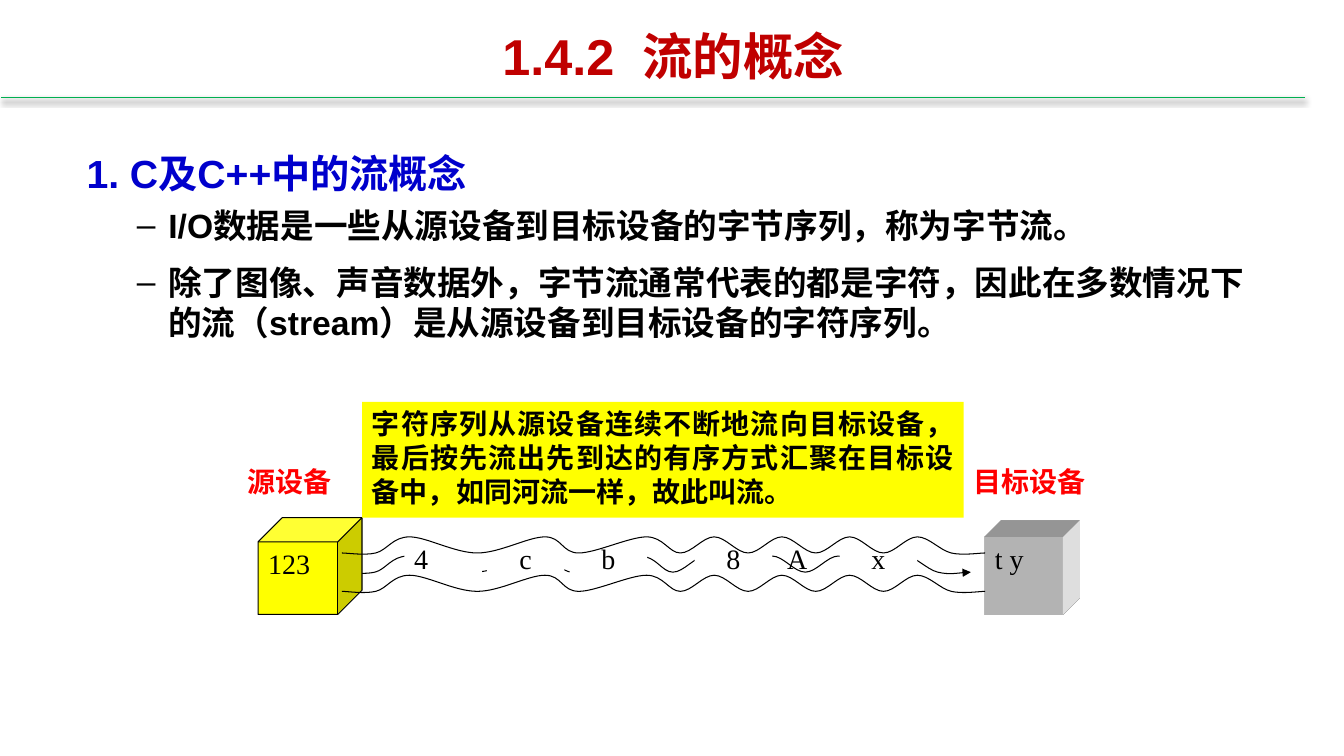
from lxml import etree
from pptx import Presentation
from pptx.dml.color import RGBColor
from pptx.enum.shapes import MSO_CONNECTOR, MSO_SHAPE
from pptx.enum.text import MSO_ANCHOR, PP_ALIGN
from pptx.oxml import parse_xml
from pptx.oxml.ns import nsdecls, qn
from pptx.util import Pt

RECT, CUBE = MSO_SHAPE.RECTANGLE, MSO_SHAPE.CUBE
STRAIGHT = MSO_CONNECTOR.STRAIGHT
TOP, MIDDLE = MSO_ANCHOR.TOP, MSO_ANCHOR.MIDDLE
LEFT, CENTER, JUSTIFY = PP_ALIGN.LEFT, PP_ALIGN.CENTER, PP_ALIGN.JUSTIFY

BLACK = RGBColor(0x00, 0x00, 0x00)
WHITE = RGBColor(0xFF, 0xFF, 0xFF)
RED = RGBColor(0xFF, 0x00, 0x00)
DARK_RED = RGBColor(0xC0, 0x00, 0x00)
BLUE = RGBColor(0x00, 0x00, 0xCC)
GREEN = RGBColor(0x00, 0xB0, 0x50)
YELLOW = RGBColor(0xFF, 0xFF, 0x00)

SANS, SERIF, CJK = "Arial", "Times New Roman", "Noto Sans CJK SC"

WAVE_UNITS = [0, 1, 2, 4, 6, 7, 9, 10, 11, 12, 13, 14, 15, 16, 17, 18, 19]
WAVE_LEVELS = [1, 1] + [0, 1] * 7 + [1]
WAVE_HEIGHT = 11.5


def format_runs(p, size, color, bold=False, font=SANS):
    """Format every run of a paragraph."""
    for r in p.runs:
        r.font.size, r.font.bold, r.font.name = Pt(size), bold, font
        r.font.color.rgb = color
        ea = etree.SubElement(r._r.get_or_add_rPr(), qn("a:ea"))
        ea.set("typeface", CJK)


def add_title(slide, box, text):
    """Place the title and the shadowed rule under it."""
    x, y, w, h = box
    title = slide.shapes.title
    title.left, title.top, title.width, title.height = map(Pt, box)
    tf = title.text_frame
    tf.text = text
    tf.vertical_anchor = MIDDLE
    tf.paragraphs[0].alignment = CENTER
    format_runs(tf.paragraphs[0], 36, DARK_RED, True)

    rule_y = Pt(y + 69.1)
    rule = slide.shapes.add_connector(STRAIGHT, Pt(x - 184.3), rule_y, Pt(x + 747.4), rule_y)
    rule.line.color.rgb, rule.line.width = GREEN, Pt(1.25)
    rule._element.spPr.append(parse_xml(
        f'<a:effectLst {nsdecls("a")}><a:outerShdw blurRad="{Pt(4)}" dist="{Pt(2.5)}" '
        'dir="5400000" rotWithShape="0"><a:srgbClr val="000000"><a:alpha val="47000"/>'
        '</a:srgbClr></a:outerShdw></a:effectLst>'))


def add_body(slide, box, heading, points):
    """Place the heading and its dashed points."""
    tf = slide.shapes.add_textbox(*map(Pt, box)).text_frame
    tf.word_wrap = True
    p = tf.paragraphs[0]
    p.text = heading
    p.line_spacing = Pt(33.5)
    format_runs(p, 28, BLUE, True)
    for point in points:
        p = tf.add_paragraph()
        p.text, p.level = point, 1
        p.space_before = p.space_after = Pt(6)
        p.line_spacing = Pt(28.8)
        format_runs(p, 24, BLACK, True)
        pPr = p._p.get_or_add_pPr()
        pPr.set("marL", str(Pt(58.5)))
        pPr.set("indent", str(Pt(-22.5)))
        etree.SubElement(pPr, qn("a:buFont")).set("typeface", SANS)
        etree.SubElement(pPr, qn("a:buChar")).set("char", "–")


def add_block(slide, box, text, fill=WHITE, color=BLACK, bold=False, align=LEFT, kind=RECT):
    """Place a filled shape with 20 point text at its top."""
    s = slide.shapes.add_shape(kind, *map(Pt, box))
    s.shadow.inherit = False
    s.fill.solid()
    s.fill.fore_color.rgb = fill
    s.line.fill.background()
    tf = s.text_frame
    tf.text, tf.word_wrap, tf.vertical_anchor = text, True, TOP
    tf.paragraphs[0].alignment = align
    format_runs(tf.paragraphs[0], 20, color, bold, SERIF)
    return s


def add_wave(slide, x, y, w, arrow=False):
    """Draw one flow line as a smooth curve through its crests and troughs."""
    unit = w / WAVE_UNITS[-1]
    knots = [(unit * u, WAVE_HEIGHT * v) for u, v in zip(WAVE_UNITS, WAVE_LEVELS)]
    (x0, y0), *rest = [(Pt(x + kx), Pt(y + ky)) for kx, ky in knots]
    builder = slide.shapes.build_freeform(x0, y0, scale=1.0)
    builder.add_line_segments(rest, close=False)
    s = builder.convert_to_shape()
    s.shadow.inherit = False
    s.fill.background()
    s.line.color.rgb, s.line.width = BLACK, Pt(0.75)
    if arrow:
        etree.SubElement(s.line._get_or_add_ln(), qn("a:tailEnd")).set("type", "triangle")

    padded = [knots[0], *knots, knots[-1]]
    lines = list(s._element.iter(qn("a:lnTo")))
    for line, before, start, end, after in zip(lines, padded, padded[1:], padded[2:], padded[3:]):
        c1 = [b + (e - a) / 6 for a, b, e in zip(before, start, end)]
        c2 = [e - (f - b) / 6 for b, e, f in zip(start, end, after)]
        curve = etree.Element(qn("a:cubicBezTo"))
        for px, py in (c1, c2, end):
            pt = etree.SubElement(curve, qn("a:pt"))
            pt.set("x", str(Pt(px)))
            pt.set("y", str(Pt(py)))
        line.getparent().replace(line, curve)


def add_target(slide, box, text):
    """Place the target device as an extruded square."""
    s = add_block(slide, box, text)
    s._element.spPr.append(parse_xml(
        f'<a:scene3d {nsdecls("a")}><a:camera prst="legacyObliqueTopRight"/>'
        '<a:lightRig rig="legacyFlat3" dir="b"/></a:scene3d>'))
    s._element.spPr.append(parse_xml(
        f'<a:sp3d {nsdecls("a")} extrusionH="430200" prstMaterial="legacyMatte">'
        '<a:extrusionClr><a:srgbClr val="FFFFFF"/></a:extrusionClr></a:sp3d>'))


def add_stream(slide, box):
    """Draw the stream of characters between the two devices."""
    x, y, w, h = box
    wave_x, wave_y, wave_w, gap = x + 74.2, y + 96.5, 459.4, 13.7

    def add_letter(text, dx, align=CENTER):
        """Place one character of the stream."""
        add_block(slide, (x + dx, wave_y, 55.4, 41.4), text, align=align)

    add_letter("A", 385.2, JUSTIFY)
    add_wave(slide, wave_x, wave_y + gap, 449.3, True)
    for text, dx in [("8", 326.2), ("b", 236.9), ("c", 177.8)]:
        add_letter(text, dx)
    add_target(slide, (x + 533.5, wave_y, 55.4, 55.4), "t y")
    add_letter("x", 429.8)
    source = add_block(slide, (x + 14.4, y + 82.8, 74.2, 69.1), "123", YELLOW, kind=CUBE)
    source.adjustments[0] = 0.25
    source.line.color.rgb, source.line.width = BLACK, Pt(0.75)
    add_letter("4", 118.8, JUSTIFY)
    for row in (0, 2):
        add_wave(slide, wave_x, wave_y + row * gap, wave_w)
    for text, dx, width in [("源设备", 0, 88.6), ("目标设备", 518.4, 103.7)]:
        add_block(slide, (x + dx, y + 41, width, 41), text, color=RED, bold=True)
    caption = add_block(
        slide, (x + 88.6, y, 429.8, 82.8),
        "字符序列从源设备连续不断地流向目标设备，最后按先流出先到达的有序方式汇聚在目标设备中，如同河流一样，故此叫流。",
        YELLOW, bold=True, align=JUSTIFY)
    p = caption.text_frame.paragraphs[0]
    p.line_spacing = Pt(24)
    p.runs[0].font.name = CJK


def main():
    """Build the slide and save it."""
    prs = Presentation()
    prs.slide_width, prs.slide_height = Pt(960), Pt(540)
    slide = prs.slides.add_slide(prs.slide_layouts[5])
    add_title(slide, (185, 0.5, 591.8, 77.8), "1.4.2  流的概念")
    add_body(slide, (54.7, 103, 850.3, 411.1), "1. C及C++中的流概念", [
        "I/O数据是一些从源设备到目标设备的字节序列，称为字节流。",
        "除了图像、声音数据外，字节流通常代表的都是字符，因此在多数情况下的流（stream）是从源设备到目标设备的字符序列。",
    ])
    add_stream(slide, (170, 287, 622.1, 151.9))
    prs.save("out.pptx")


if __name__ == "__main__":
    main()
